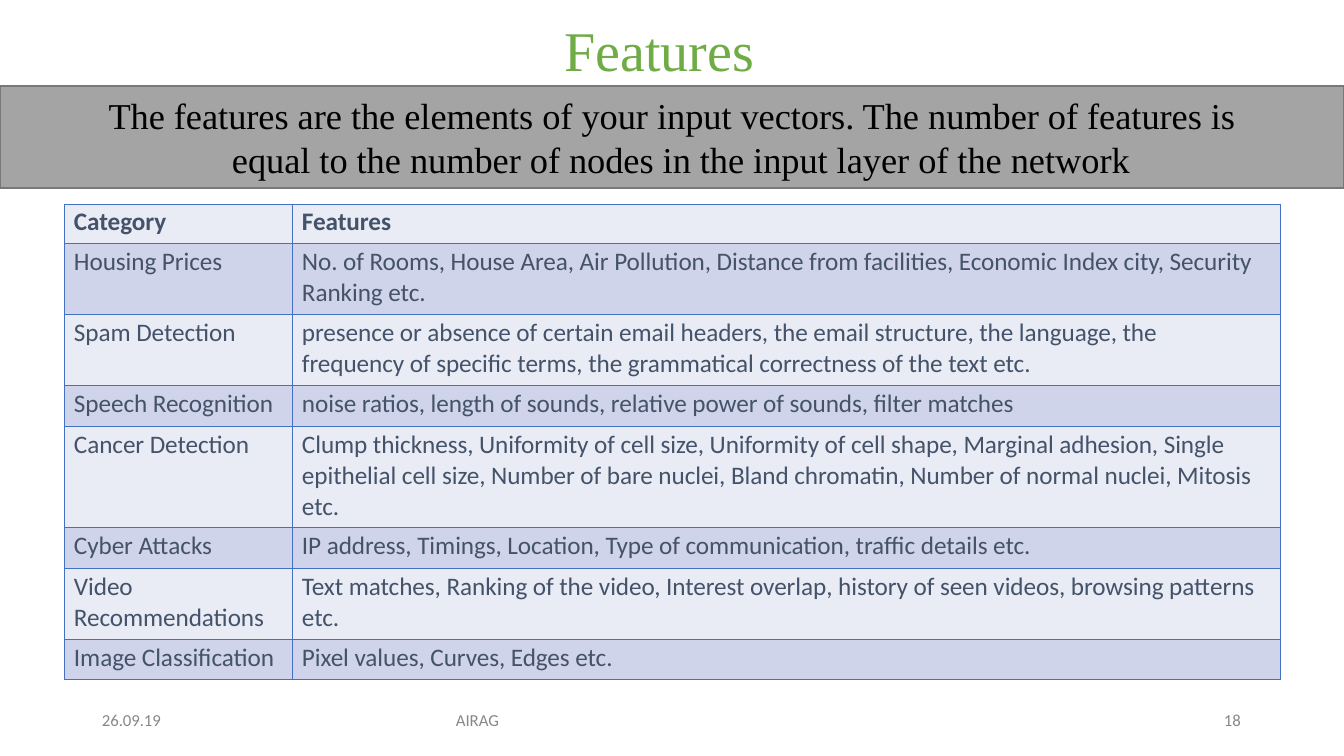
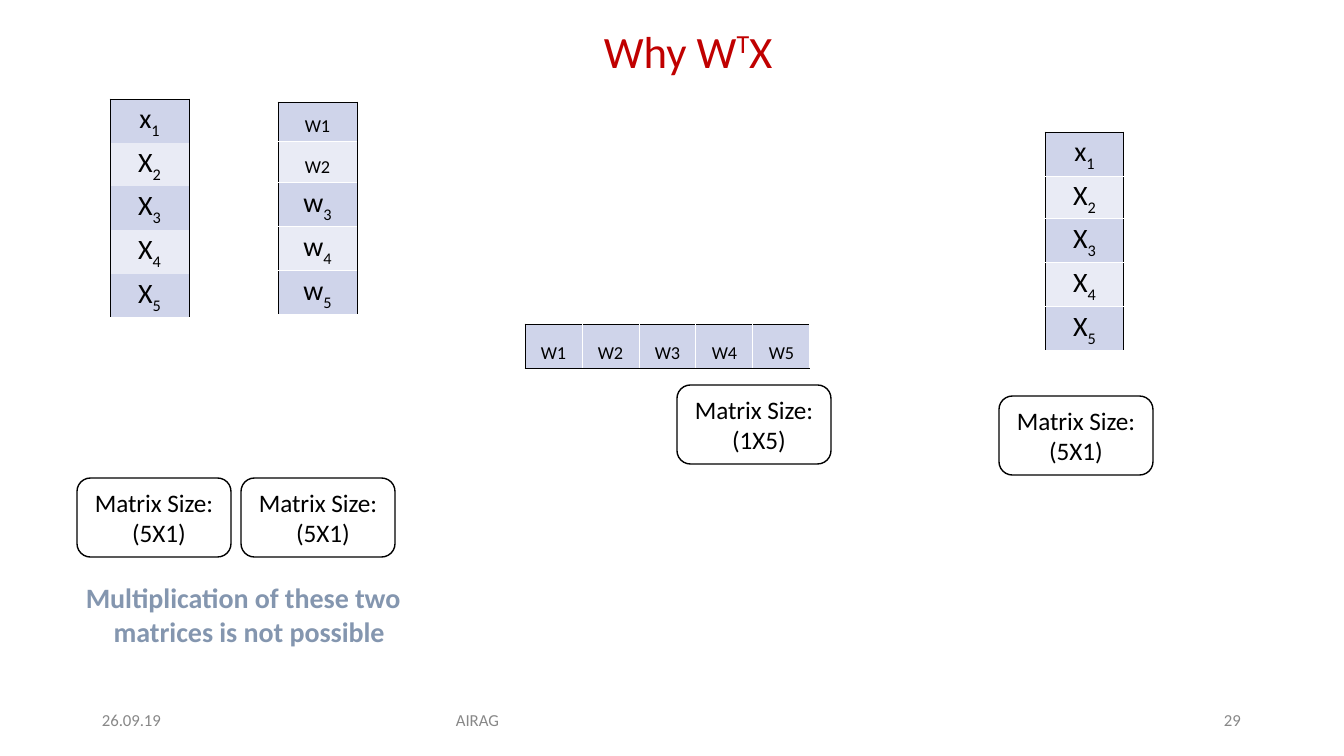
from typing import NamedTuple

from lxml.etree import SubElement
from pptx import Presentation
from pptx.dml.color import RGBColor as RGB
from pptx.enum.shapes import MSO_SHAPE as Shape
from pptx.enum.text import MSO_ANCHOR as Anchor, PP_ALIGN as Align
from pptx.oxml.ns import qn
from pptx.util import Pt

WIDE, HIGH = 1344, 756
SCALE = 12192000 / WIDE
INK = {
    "black": "000000", "white": "FFFFFF", "green": "6FAC46", "red": "C00000",
    "slate": "44536A", "steel": "8496AF", "blue": "4471C4", "gray": "888888",
    "band": "A4A4A4", "edge": "787878", "pale": "E9EBF5", "lilac": "CFD4EA",
}
SANS, SERIF = "Calibri", "Times New Roman"


def px(n):
    return round(n * SCALE)


def rgb(name):
    return RGB.from_string(INK[name])


class Cell(NamedTuple):
    """Text is a string, or a list of (text, baseline percent) runs."""
    text: object
    size: int = 20
    top: int = 3
    bold: bool = False


class Deck:
    def __init__(self):
        self.prs = Presentation()
        self.prs.slide_width, self.prs.slide_height = px(WIDE), px(HIGH)
        self.slide = None

    def page(self, num):
        """Start a slide with its footer."""
        self.slide = self.prs.slides.add_slide(self.prs.slide_layouts[6])
        for x, text in ((102, "26.09.19"), (456, "AIRAG"), (1224, num)):
            self.label(x, 710, 100, 21, [text], 12, "gray")

    def line(self, para, text, size, ink, font=SANS, bold=False,
             align=Align.LEFT):
        """Set the text and style of one paragraph."""
        if isinstance(text, str):
            para.text = text
        else:
            for part, base in text:
                run = para.add_run()
                run.text = part
                if base:
                    run._r.get_or_add_rPr().set("baseline", str(base * 1000))
        para.alignment = align
        face = para.font
        face.name, face.size, face.bold = font, Pt(size), bold
        face.color.rgb = rgb(ink)
        para._p.pPr.find(qn("a:defRPr")).set("spc", "-5")

    def lines(self, frame, texts, shift=0, **look):
        """Add one paragraph a text; shift indents all but the first."""
        frame.word_wrap = True
        frame.margin_left = frame.margin_right = 0
        frame.margin_top = frame.margin_bottom = 0
        for i, text in enumerate(texts):
            para = frame.add_paragraph() if i else frame.paragraphs[0]
            if i and shift:
                para._p.get_or_add_pPr().set("marL", str(px(shift)))
            self.line(para, text, **look)

    def label(self, x, y, w, h, texts, size, ink, **look):
        box = self.slide.shapes.add_textbox(px(x), px(y), px(w), px(h))
        self.lines(box.text_frame, texts, size=size, ink=ink, **look)

    def title(self, x, y, text, size, ink, font=SANS):
        self.label(x, y, 300, 60, [text], size, ink, font=font)

    def panel(self, kind, x, y, w, h, texts, shift, back, edge, **look):
        box = self.slide.shapes.add_shape(kind, px(x), px(y), px(w), px(h))
        box.shadow.inherit = False
        if back:
            box.fill.solid()
            box.fill.fore_color.rgb = rgb(back)
        else:
            box.fill.background()
        box.line.color.rgb = rgb(edge)
        box.line.width = Pt(1)
        box.text_frame.vertical_anchor = Anchor.MIDDLE
        self.lines(box.text_frame, texts, shift, ink="black",
                   align=Align.CENTER, **look)
        return box

    def banner(self, y, h, texts, shift):
        self.panel(Shape.RECTANGLE, 0, y, WIDE, h, texts, shift, "band",
                   "edge", size=26, font=SERIF)

    def note(self, x, y, dims, shift=10):
        box = self.panel(Shape.ROUNDED_RECTANGLE, x, y, 154, 79,
                         ["Matrix Size:", dims], shift, None, "black", size=18)
        box.adjustments[0] = 0.17

    def border(self, cell, inks):
        """Draw left, right, top and bottom; None hides a side."""
        props = cell._tc.get_or_add_tcPr()
        for side, ink in zip("LRTB", inks):
            rule = SubElement(props, qn(f"a:ln{side}"), w=str(Pt(0.75)))
            if ink:
                solid = SubElement(rule, qn("a:solidFill"))
                SubElement(solid, qn("a:srgbClr"), val=INK[ink])
            else:
                SubElement(rule, qn("a:noFill"))

    def grid(self, x, y, cols, rows, cells, edges, bands=("lilac", "pale"),
             ink="black", align=Align.CENTER, left=0):
        """Edges are the inks of left, right, top, bottom and inner lines."""
        table = self.slide.shapes.add_table(
            len(rows), len(cols), px(x), px(y),
            px(sum(cols)), px(sum(rows))).table
        table.first_row = table.horz_banding = False
        for col, w in zip(table.columns, cols):
            col.width = px(w)
        west, east, north, south, inner = edges
        for r, (row, h) in enumerate(zip(table.rows, rows)):
            row.height = px(h)
            for c, (cell, item) in enumerate(zip(row.cells, cells[r])):
                self.border(cell, (
                    inner if c else west,
                    inner if c < len(cols) - 1 else east,
                    inner if r else north,
                    inner if r < len(rows) - 1 else south))
                cell.fill.solid()
                cell.fill.fore_color.rgb = rgb(bands[r % 2])
                cell.margin_left, cell.margin_top = px(left), px(item.top)
                cell.margin_right = cell.margin_bottom = 0
                self.line(cell.text_frame.paragraphs[0], item.text,
                          item.size, ink, bold=item.bold, align=align)

    def column(self, x, y, rows, cells, inner):
        self.grid(x, y, [79], rows, [[cell] for cell in cells],
                  ("black", "black", "black", None, inner))


def sub(letter, n):
    return Cell([(letter, 0), (str(n), -28)])


FEATURES = [
    ("Category", "Features"),
    ("Housing Prices", "No. of Rooms, House Area, Air Pollution, Distance from "
     "facilities, Economic Index city, Security Ranking etc."),
    ("Spam Detection", "presence or absence of certain email headers, the "
     "email structure, the language, the\vfrequency of specific terms, the "
     "grammatical correctness of the text etc."),
    ("Speech Recognition", "noise ratios, length of sounds, relative power of "
     "sounds, filter matches"),
    ("Cancer Detection", "Clump thickness, Uniformity of cell size, Uniformity "
     "of cell shape, Marginal adhesion, Single epithelial cell size, Number "
     "of bare nuclei, Bland chromatin, Number of normal nuclei, Mitosis etc."),
    ("Cyber Attacks", "IP address, Timings, Location, Type of communication, "
     "traffic details etc."),
    ("Video Recommendations", "Text matches, Ranking of the video, Interest "
     "overlap, history of seen videos, browsing patterns etc."),
    ("Image Classification", "Pixel values, Curves, Edges etc."),
]


def features(deck):
    deck.page("18")
    deck.title(565, 16, "Features", 40, "green", SERIF)
    deck.banner(86, 102, [
        "The features are the elements of your input vectors. "
        "The number of features is",
        "equal to the number of nodes in the input layer of the network"], 18)
    cells = [[Cell(text, 18, 3, r == 0) for text in row]
             for r, row in enumerate(FEATURES)]
    deck.grid(64, 204, [228, 988], [40, 71, 71, 41, 101, 41, 71, 40], cells,
              ["blue"] * 5, ("pale", "lilac"), "slate", Align.LEFT, 10)


def weights(deck):
    deck.page("29")
    deck.title(604, 24, [("Why W", 0), ("T", 34), ("X", 0)], 32, "red")
    inputs = [sub("X" if n > 1 else "x", n) for n in range(1, 6)]
    tall = [44, 43, 44, 44, 43]
    deck.column(110, 99, tall, inputs, None)
    deck.column(1045, 132, tall, inputs, "white")
    deck.column(278, 102, [40, 41, 44, 44, 43],
                [Cell("W1", 13, 13), Cell("W2", 13, 14)]
                + [sub("w", n) for n in (3, 4, 5)], "white")
    deck.grid(525, 324, [57] * 5, [44],
              [[Cell(f"W{n}", 13, 18) for n in range(1, 6)]],
              ("black", "white", "black", "black", "white"))
    deck.note(77, 478, "(5X1)")
    deck.note(241, 478, "(5X1)")
    deck.note(677, 385, "(1X5)")
    deck.note(999, 396, "(5X1)", 0)
    deck.label(75, 581, 336, 70,
               ["Multiplication of these two", "matrices is not possible"],
               20, "steel", shift=12, bold=True, align=Align.CENTER)


def main():
    deck = Deck()
    features(deck)
    weights(deck)
    deck.prs.save("out.pptx")


if __name__ == "__main__":
    main()
